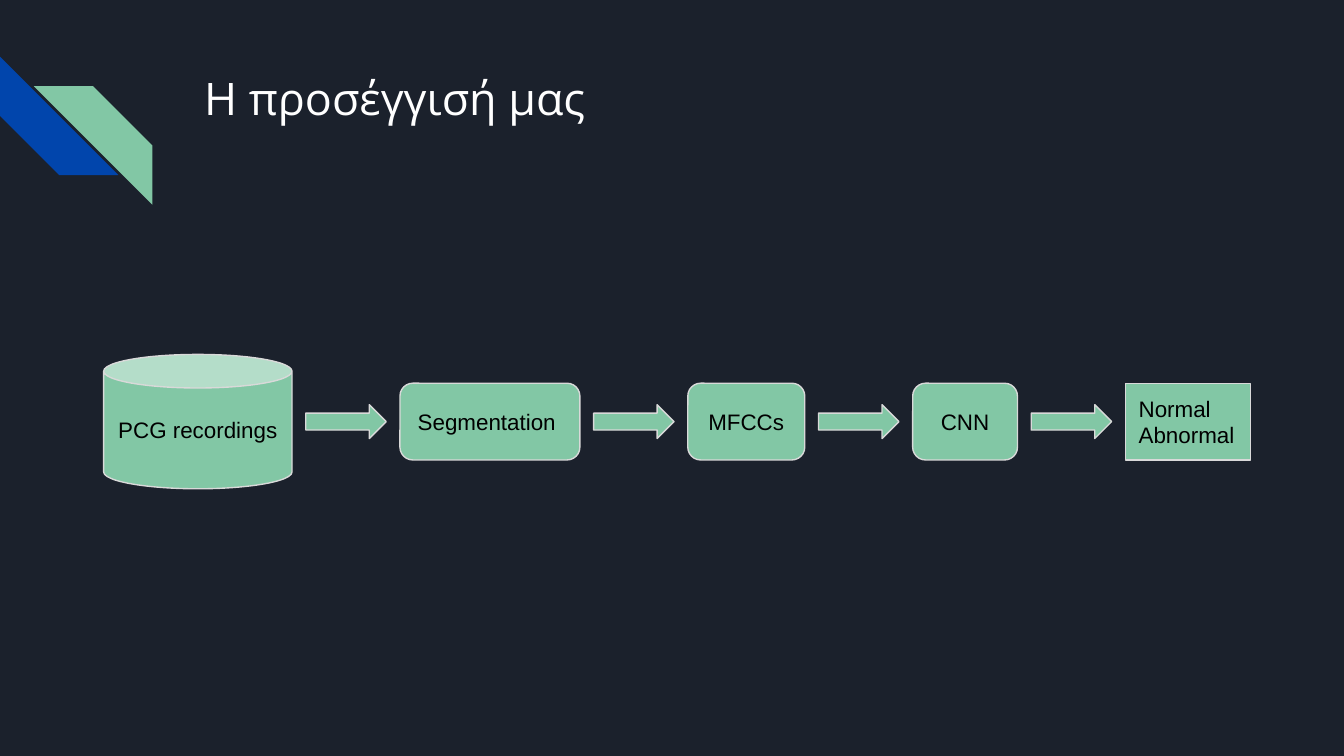
from dataclasses import dataclass

from pptx import Presentation
from pptx.dml.color import RGBColor
from pptx.enum.shapes import MSO_SHAPE
from pptx.enum.text import MSO_ANCHOR, PP_ALIGN
from pptx.util import Cm, Pt

STRIPE = MSO_SHAPE.DIAGONAL_STRIPE
CAN = MSO_SHAPE.CAN
ARROW = MSO_SHAPE.RIGHT_ARROW
ROUNDED = MSO_SHAPE.ROUNDED_RECTANGLE
RECTANGLE = MSO_SHAPE.RECTANGLE
LEFT = PP_ALIGN.LEFT
CENTER = PP_ALIGN.CENTER
TOP = MSO_ANCHOR.TOP
MIDDLE = MSO_ANCHOR.MIDDLE


@dataclass(frozen=True)
class Theme:
    background: RGBColor = RGBColor.from_string("1B212C")
    blue: RGBColor = RGBColor.from_string("0145AC")
    green: RGBColor = RGBColor.from_string("82C7A5")
    outline: RGBColor = RGBColor.from_string("D9D9D9")
    white: RGBColor = RGBColor.from_string("FFFFFF")
    black: RGBColor = RGBColor.from_string("000000")
    title_font: str = "Open Sans"
    body_font: str = "Arial"
    title_size: Pt = Pt(24)
    body_size: Pt = Pt(12)
    line_width: Pt = Pt(0.75)


theme = Theme()

deck = Presentation()
deck.slide_width = Cm(25.4)
deck.slide_height = Cm(14.29)
page = deck.slides.add_slide(deck.slide_layouts[6])
page.background.fill.solid()
page.background.fill.fore_color.rgb = theme.background


def write(box, text, *, size=theme.body_size, font=theme.body_font,
          color=theme.black, align=CENTER, anchor=MIDDLE):
    frame = box.text_frame
    frame.word_wrap = True
    frame.vertical_anchor = anchor
    frame.margin_left = frame.margin_right = Cm(0.25)
    frame.margin_top = frame.margin_bottom = Cm(0.25)
    for index, line in enumerate(text.split("\n")):
        para = frame.add_paragraph() if index else frame.paragraphs[0]
        para.alignment = align
        span = para.add_run()
        span.text = line
        span.font.size = size
        span.font.name = font
        span.font.color.rgb = color


def draw(kind, left, top, width, height, fill=theme.green, outlined=True):
    shape = page.shapes.add_shape(kind, Cm(left), Cm(top), Cm(width), Cm(height))
    shape.shadow.inherit = False
    shape.fill.solid()
    shape.fill.fore_color.rgb = fill
    if outlined:
        shape.line.color.rgb = theme.outline
        shape.line.width = theme.line_width
    else:
        shape.line.fill.background()
    return shape


blue_stripe = draw(STRIPE, 0, 1.07, 2.24, 2.24, theme.blue, outlined=False)
blue_stripe.rotation = 270
green_stripe = draw(STRIPE, 0.64, 1.63, 2.24, 2.24, outlined=False)
green_stripe._element.spPr.get_or_add_xfrm().set("flipH", "1")

title = page.shapes.add_textbox(Cm(3.61), Cm(1.09), Cm(19.56), Cm(2.54))
write(title, "Η προσέγγισή μας", size=theme.title_size, font=theme.title_font,
      color=theme.white, align=LEFT, anchor=TOP)

stages = [
    (CAN, "PCG recordings", 3.56, 2.54, CENTER),
    (ROUNDED, "Segmentation ", 3.4, 1.45, CENTER),
    (ROUNDED, "MFCCs", 2.21, 1.45, CENTER),
    (ROUNDED, "CNN", 1.98, 1.45, CENTER),
    (RECTANGLE, "Normal\nAbnormal", 2.36, 1.45, LEFT),
]
middle = 7.97
gap = 0.26
arrow_width, arrow_height = 1.52, 0.64
left = 1.96

for number, (kind, text, width, height, align) in enumerate(stages):
    if number:
        draw(ARROW, left + gap, middle - arrow_height / 2, arrow_width, arrow_height)
        left += arrow_width + 2 * gap
    stage = draw(kind, left, middle - height / 2, width, height)
    write(stage, text, align=align)
    left += width

deck.save("out.pptx")
